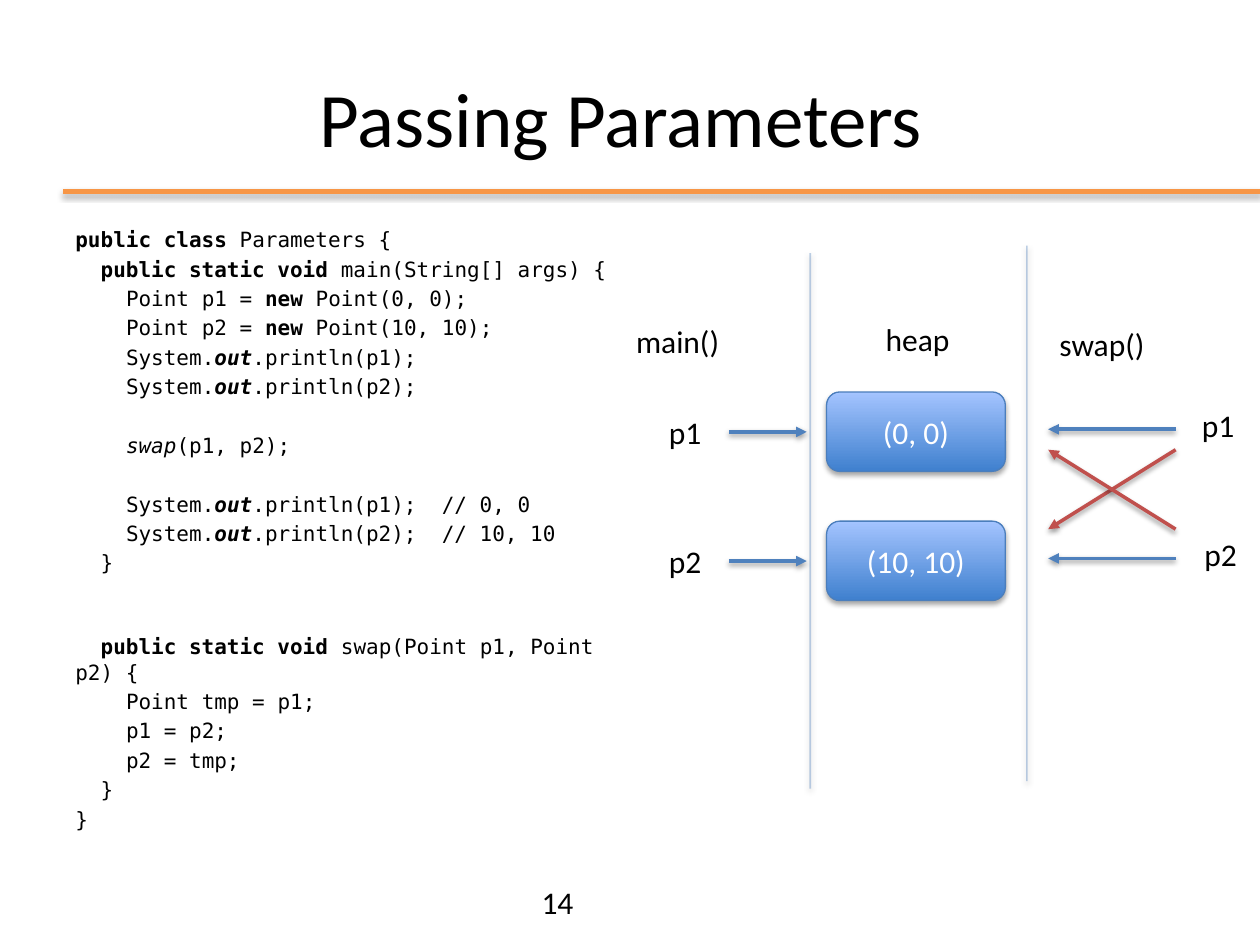
from dataclasses import dataclass

from lxml import etree
from pptx import Presentation
from pptx import util as u
from pptx.dml import color
from pptx.enum import shapes, text
from pptx.oxml import ns

Pt = u.Pt


@dataclass(frozen=True)
class Shadow:
    distance: float
    opacity: int
    blur: float = 3.1
    degrees: int = 90


@dataclass(frozen=True)
class Theme:
    ink: str = "000000"
    paper: str = "FFFFFF"
    accent: str = "F79646"
    reference: str = "4F81BD"
    swapped: str = "C0504D"
    outline: str = "4B7EBC"
    gradient: tuple = ("3F80CE", "A4C4FF")
    font: str = "Calibri"
    code_font: str = "DejaVu Sans Mono"
    title_size: float = 44
    label_size: float = 18
    code_size: float = 12
    rule_width: float = 3
    arrow_width: float = 2
    divider_width: float = 1
    divider_opacity: int = 37
    outline_width: float = 0.75
    raised: Shadow = Shadow(1.8, 35)
    soft: Shadow = Shadow(1.6, 38)


@dataclass(frozen=True)
class Box:
    left: float
    top: float
    width: float
    height: float

    def inner(self, left, top, width, height):
        return Box(self.left + left, self.top + top, width, height)

    def point(self, x, y):
        return Pt(self.left + x), Pt(self.top + y)

    def lengths(self):
        return [Pt(value) for value in (self.left, self.top, self.width, self.height)]


THEME = Theme()
LABEL_HEIGHT = 28.8
CODE_INDENT = 14.45
CODE_LINE = 14.35
CODE_GAP = 2.4


def print_call(argument, comment=""):
    return [("System.", ""), ("out", "bi"), (f".println({argument});{comment}", "")]


def new_point(name, values):
    return [(f"{name} = ", ""), ("new", "b"), (f" Point({values});", "")]


def plain(words):
    return [(words, "")]


CODE = [
    (0, 0, [("public class ", "b"), ("Parameters {", "")]),
    (1, 0, [("public static void ", "b"), ("main(String[] args) {", "")]),
    (2, 0, new_point("Point p1", "0, 0")),
    (2, 0, new_point("Point p2", "10, 10")),
    (2, 0, print_call("p1")),
    (2, 0, print_call("p2")),
    (2, 1, [("swap", "i"), ("(p1, p2);", "")]),
    (2, 1, print_call("p1", "  // 0, 0")),
    (2, 0, print_call("p2", "  // 10, 10")),
    (1, 0, plain("}")),
    (1, 2, [("public static void", "b"), (" swap(Point p1, Point p2) {", "")]),
    (2, 0, plain("Point tmp = p1;")),
    (2, 0, plain("p1 = p2;")),
    (2, 0, plain("p2 = tmp;")),
    (1, 0, plain("}")),
    (0, 0, plain("}")),
]


def rgb(value):
    return color.RGBColor.from_string(value)


def assign(target, values):
    for name, value in values.items():
        setattr(target, name, value)


def add_child(parent, tag, **attributes):
    child = etree.SubElement(parent, ns.qn(tag))
    for name, value in attributes.items():
        child.set(name, str(value))
    return child


def add_shadow(shape, shadow):
    effects = add_child(shape._element.spPr, "a:effectLst")
    outer = add_child(effects, "a:outerShdw", blurRad=Pt(shadow.blur),
                      dist=Pt(shadow.distance), dir=shadow.degrees * 60000, rotWithShape=0)
    ink = add_child(outer, "a:srgbClr", val=THEME.ink)
    add_child(ink, "a:alpha", val=shadow.opacity * 1000)


def add_run(paragraph, words, size, ink=THEME.ink, font=THEME.font, style=""):
    run = paragraph.add_run()
    run.text = words
    assign(run.font, {"size": Pt(size), "name": font,
                      "bold": "b" in style, "italic": "i" in style})
    run.font.color.rgb = rgb(ink)


def add_frame(slide, box, **settings):
    frame = slide.shapes.add_textbox(*box.lengths()).text_frame
    assign(frame, {"word_wrap": True, **settings})
    return frame


def add_label(slide, box, words):
    frame = add_frame(slide, box, word_wrap=False,
                      auto_size=text.MSO_AUTO_SIZE.SHAPE_TO_FIT_TEXT)
    add_run(frame.paragraphs[0], words, THEME.label_size)


def add_centred(frame, words, size, ink):
    frame.vertical_anchor = text.MSO_ANCHOR.MIDDLE
    paragraph = frame.paragraphs[0]
    paragraph.alignment = text.PP_ALIGN.CENTER
    add_run(paragraph, words, size, ink)


def add_line(slide, box, start, end, ink, width, shadow=THEME.soft):
    line = slide.shapes.add_connector(shapes.MSO_CONNECTOR.STRAIGHT,
                                      *box.point(*start), *box.point(*end))
    line.line.color.rgb = rgb(ink)
    line.line.width = Pt(width)
    add_shadow(line, shadow)
    return line._element.spPr.find(ns.qn("a:ln"))


def add_arrow(slide, box, start, end, ink):
    outline = add_line(slide, box, start, end, ink, THEME.arrow_width)
    add_child(outline, "a:tailEnd", type="triangle")


def add_divider(slide, box, left, top, height):
    outline = add_line(slide, box, (left, top), (left, top + height),
                       THEME.reference, THEME.divider_width)
    ink = outline.find(".//" + ns.qn("a:srgbClr"))
    add_child(ink, "a:alpha", val=THEME.divider_opacity * 1000)


def draw_title(slide, box):
    rule_top = 87.8
    add_line(slide, box, (0, rule_top), (box.width + box.left, rule_top),
             THEME.accent, THEME.rule_width, THEME.raised)
    add_centred(add_frame(slide, box), "Passing Parameters ", THEME.title_size, THEME.ink)


def draw_code(slide, box):
    frame = add_frame(slide, box)
    for index, (level, blank_lines, runs) in enumerate(CODE):
        paragraph = frame.add_paragraph() if index else frame.paragraphs[0]
        blank_space = blank_lines * CODE_LINE + CODE_GAP if blank_lines else 0
        paragraph.space_before = Pt(CODE_GAP + blank_space)
        paragraph._p.get_or_add_pPr().set("indent", str(Pt(level * CODE_INDENT)))
        for words, style in runs:
            add_run(paragraph, words, THEME.code_size, font=THEME.code_font, style=style)


def draw_point(slide, box, words):
    shape = slide.shapes.add_shape(shapes.MSO_SHAPE.ROUNDED_RECTANGLE, *box.lengths())
    shape.fill.gradient()
    shape.fill.gradient_angle = 90
    for position, (stop, ink) in enumerate(zip(shape.fill.gradient_stops, THEME.gradient)):
        stop.position = position
        stop.color.rgb = rgb(ink)
    shape.line.color.rgb = rgb(THEME.outline)
    shape.line.width = Pt(THEME.outline_width)
    add_shadow(shape, THEME.raised)
    add_centred(shape.text_frame, words, THEME.label_size, THEME.paper)


def draw_memory(slide, box):
    row_pitch = 73.8
    main_tail, main_head = 60.5, 105
    swap_tail, swap_head = 315.8, 243
    cross_top, cross_bottom = 117, 162.4

    for left, top in ((107, 4.7), (230.8, 0.4)):
        add_divider(slide, box, left, top, 306)
    for words, left, top, width in (("main()", 0.4, 40.7, 62.6), ("heap", 143, 39.3, 51.8),
                                    ("swap()", 242.3, 42.2, 64)):
        add_label(slide, box.inner(left, top, width, LABEL_HEIGHT), words)

    rows = (("p1", "(0, 0)", 323.7), ("p2", "(10, 10)", 325.1))
    for index, (name, value, swap_label) in enumerate(rows):
        row = box.inner(0, 84 + index * row_pitch, box.width, row_pitch)
        draw_point(slide, row.inner(116.3, 0, 102.2, 45.4), value)
        for left, top in ((19.1, 8.5), (swap_label, 4.5)):
            add_label(slide, row.inner(left, top, 33.1, LABEL_HEIGHT), name)
        for tail, head, height in ((main_tail, main_head, 22.8), (swap_tail, swap_head, 21.3)):
            add_arrow(slide, row, (tail, height), (head, height), THEME.reference)

    for tail, head in ((cross_top, cross_bottom), (cross_bottom, cross_top)):
        add_arrow(slide, box, (swap_tail, tail), (swap_head, head), THEME.swapped)


def draw_page_number(slide, box):
    add_run(add_frame(slide, box).paragraphs[0], "14", THEME.label_size)


def main():
    presentation = Presentation()
    assign(presentation, {"slide_width": Pt(720), "slide_height": Pt(540)})
    slide = presentation.slides.add_slide(presentation.slide_layouts[6])
    draw_title(slide, Box(36, 21.6, 648, 90))
    draw_code(slide, Box(36, 126, 339, 356.4))
    draw_memory(slide, Box(356, 140, 364, 311))
    draw_page_number(slide, Box(302.4, 501.1, 381.6, LABEL_HEIGHT))
    presentation.save("out.pptx")


if __name__ == "__main__":
    main()
